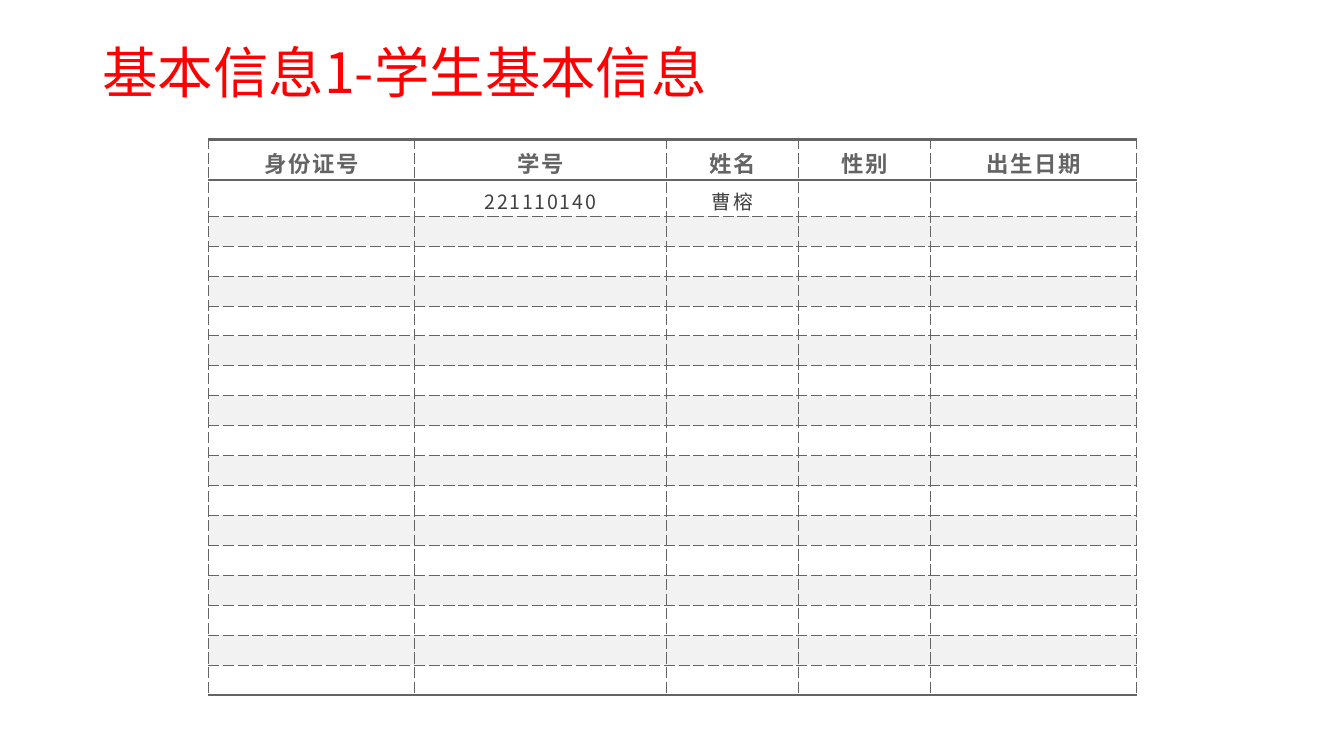
import pptx
import pptx.util
import pptx.dml.color
import pptx.enum.text
import pptx.oxml.ns
import lxml.etree

Pt = pptx.util.Pt
FONT = "Noto Sans CJK SC"
COLORS = {"title": "FF0000", "grid": "646464", "body": "404040", "plain": "FFFFFF", "band": "F2F2F2"}
TITLE = "基本信息1-学生基本信息"
HEADERS = ["身份证号", "学号", "姓名", "性别", "出生日期"]
STUDENTS = [["", "221110140", "曹榕", "", ""]]
ROW_COUNT = 18
COLUMN_WIDTHS = [147, 180, 94.5, 94.5, 147]
HEADER_HEIGHT, ROW_HEIGHT = 23.8, 21.4
TITLE_BOX = {"left": 66, "top": 28.8, "width": 828, "height": 51}
TABLE_LEFT, TABLE_TOP = 149, 99.4
TITLE_FORMAT = {"size": Pt(39.6), "bold": False, "name": FONT}
HEADER_FORMAT = {"size": Pt(16), "bold": True, "name": FONT}
BODY_FORMAT = {"size": Pt(14), "bold": False, "name": FONT}
CELL_FORMAT = {
    "vertical_anchor": pptx.enum.text.MSO_ANCHOR.MIDDLE,
    "margin_left": Pt(13.7), "margin_right": Pt(13.7),
    "margin_top": Pt(0.72), "margin_bottom": Pt(0.72),
}
TITLE_FRAME = {
    "word_wrap": True,
    "auto_size": pptx.enum.text.MSO_AUTO_SIZE.NONE,
    "vertical_anchor": pptx.enum.text.MSO_ANCHOR.MIDDLE,
}
THIN, THICK = 0.75, 2.25


def apply(target, values):
    for name, value in values.items():
        setattr(target, name, value)


def add_element(parent, tag, **attributes):
    return lxml.etree.SubElement(parent, pptx.oxml.ns.qn(tag), **attributes)


def rgb(name):
    return pptx.dml.color.RGBColor.from_string(COLORS[name])


def write(para, text, font_format, color, spacing=0):
    span = para.add_run()
    span.text = text
    apply(span.font, font_format)
    span.font.color.rgb = rgb(color)
    properties = span.font._element
    properties.set("spc", str(spacing))
    add_element(properties, "a:ea", typeface=FONT)


def draw_borders(cell, top, bottom):
    properties = cell._tc.get_or_add_tcPr()
    for side, width in (("L", THIN), ("R", THIN), ("T", top), ("B", bottom)):
        line = add_element(properties, "a:ln" + side, w=str(Pt(width)))
        fill = add_element(line, "a:solidFill")
        add_element(fill, "a:srgbClr", val=COLORS["grid"])
        add_element(line, "a:prstDash", val="sysDash" if width == THIN else "solid")


def fill_cell(cell, row, text):
    apply(cell, CELL_FORMAT)
    draw_borders(cell, THICK if row < 2 else THIN, THICK if row in (0, ROW_COUNT - 1) else THIN)
    cell.fill.solid()
    cell.fill.fore_color.rgb = rgb("band" if row and row % 2 == 0 else "plain")
    para = cell.text_frame.paragraphs[0]
    if text:
        apply(para, {"alignment": pptx.enum.text.PP_ALIGN.CENTER, "line_spacing": 1.2})
        write(para, text, BODY_FORMAT if row else HEADER_FORMAT, "body" if row else "grid", 120)
    else:
        add_element(para._p, "a:endParaRPr", sz="1000")


def main():
    deck = pptx.Presentation()
    apply(deck, {"slide_width": Pt(960), "slide_height": Pt(540)})
    page = deck.slides.add_slide(deck.slide_layouts[5])

    title = page.shapes.title
    apply(title, {name: Pt(value) for name, value in TITLE_BOX.items()})
    apply(title.text_frame, TITLE_FRAME)
    para = title.text_frame.paragraphs[0]
    apply(para, {"alignment": pptx.enum.text.PP_ALIGN.LEFT, "line_spacing": 0.9})
    write(para, TITLE, TITLE_FORMAT, "title")

    heights = [HEADER_HEIGHT] + [ROW_HEIGHT] * (ROW_COUNT - 1)
    table = page.shapes.add_table(
        ROW_COUNT, len(HEADERS), Pt(TABLE_LEFT), Pt(TABLE_TOP),
        Pt(sum(COLUMN_WIDTHS)), Pt(sum(heights)),
    ).table
    apply(table, {"first_row": False, "horz_banding": False})
    for column, width in zip(table.columns, COLUMN_WIDTHS):
        column.width = Pt(width)
    blank_rows = [[""] * len(HEADERS)] * (ROW_COUNT - 1 - len(STUDENTS))
    for row, texts in enumerate([HEADERS] + STUDENTS + blank_rows):
        table.rows[row].height = Pt(heights[row])
        for column, text in enumerate(texts):
            fill_cell(table.cell(row, column), row, text)

    deck.save("out.pptx")


if __name__ == "__main__":
    main()
